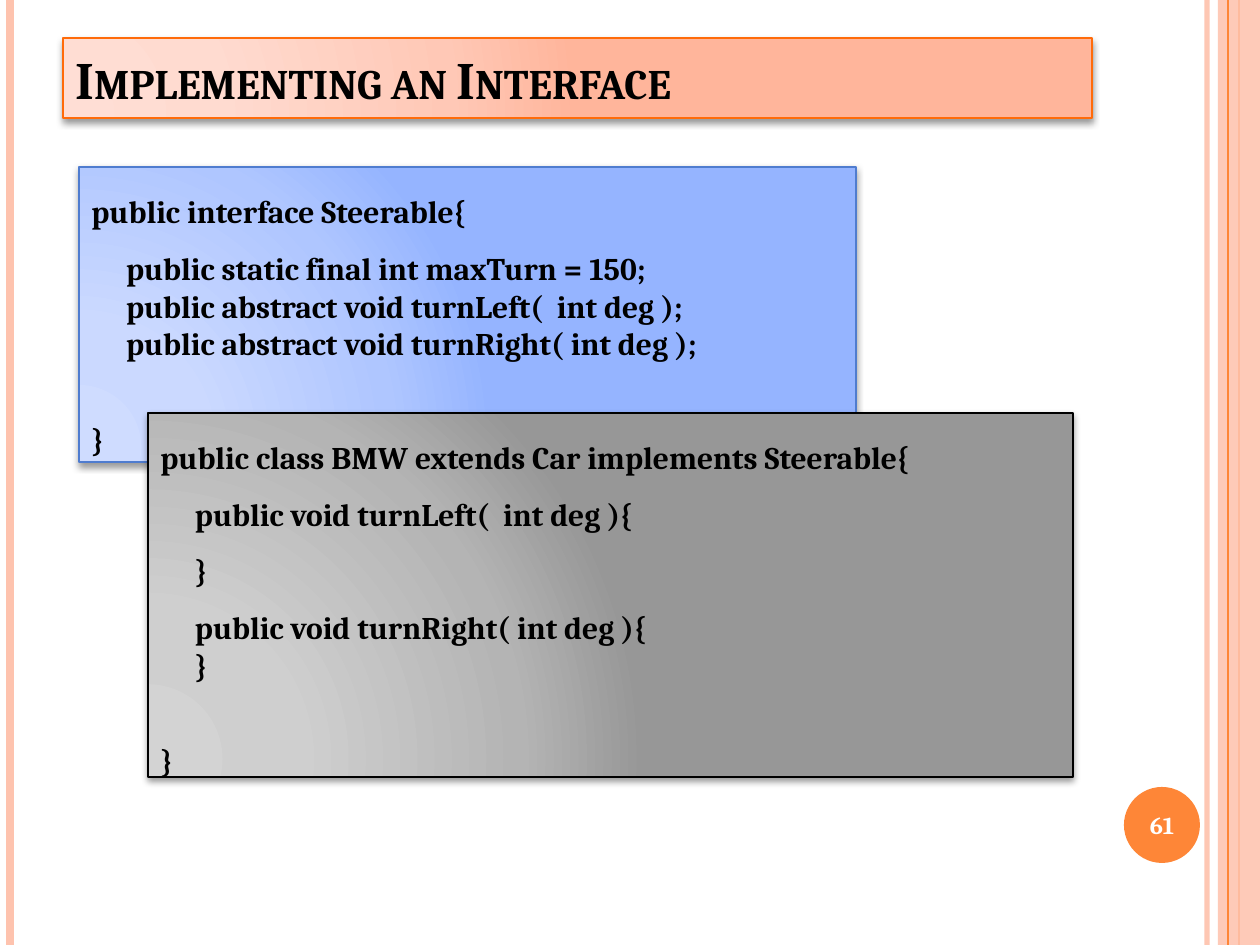
from dataclasses import dataclass

from pptx import Presentation, util as u
from pptx.dml.color import RGBColor
from pptx.enum import shapes, text
from pptx.oxml import parse_xml
from pptx.oxml.ns import nsdecls, qn

SCALE = 914400 / 126
WIDTH, HEIGHT = 1260, 945


@dataclass(frozen=True)
class Theme:
    """Colours, gradients and type sizes of the slide."""
    font: str = "Cambria"
    ink: str = "000000"
    paper: str = "FFFFFF"
    accent: str = "FE8637"
    pale: str = "FEC3AE"
    peach: tuple = ("FFDED5", "FFDBD0", "FFC8B6", "FFB59B")
    peach_edge: str = "FF6B0A"
    blue: tuple = ("CFDCFF", "CBD9FF", "AFC6FF", "95B4FF")
    blue_edge: str = "4F7CCF"
    grey: tuple = ("D3D3D3", "CFCFCF", "B4B4B4", "979797")
    stops: tuple = (0, 30, 75, 100)
    title: int = 30
    code: int = 18
    number: int = 14


T = Theme()

INTERFACE_CODE = [
    ("public interface Steerable{", 1.5),
    ("     public static final int maxTurn = 150;", 1.5),
    ("     public abstract void turnLeft(  int deg );", 1),
    ("     public abstract void turnRight( int deg );", 1),
    ("}", 1.5),
]
CLASS_CODE = [
    ("public class BMW extends Car implements Steerable{", 1.5),
    ("     public void turnLeft(  int deg ){", 1.5),
    ("     }", 1.5),
    ("     public void turnRight( int deg ){", 1.5),
    ("     }", 1),
    ("}", 1.5),
]


def px(*lengths):
    """Turn px lengths into EMU."""
    return [u.Emu(round(n * SCALE)) for n in lengths]


def set_alpha(fill, percent):
    """Make a solid colour partly transparent."""
    color = fill._xPr.find(qn("a:solidFill"))[0]
    color.append(parse_xml(f'<a:alpha {nsdecls("a")} val="{percent * 1000}"/>'))


def style_run(p, size, color):
    """Format the only run of a paragraph and return its font."""
    font = p.runs[0].font
    font.name, font.size, font.bold = T.font, u.Pt(size), True
    font.color.rgb = RGBColor.from_string(color)
    return font


def add_solid(s, kind, box, color):
    """Add a plain shape without outline."""
    sp = s.shapes.add_shape(kind, *px(*box))
    sp.shadow.inherit = False
    sp.fill.solid()
    sp.fill.fore_color.rgb = RGBColor.from_string(color)
    sp.line.fill.background()
    return sp


def add_panel(s, box, colors, edge):
    """Add a rectangle with a radial gradient and a soft shadow below."""
    sp = s.shapes.add_shape(shapes.MSO_SHAPE.RECTANGLE, *px(*box))
    sp.fill.background()
    stops = "".join(
        f'<a:gs pos="{pos * 1000}"><a:srgbClr val="{color}"/></a:gs>'
        for pos, color in zip(T.stops, colors))
    no_fill = sp._element.spPr.find(qn("a:noFill"))
    no_fill.getparent().replace(no_fill, parse_xml(
        f'<a:gradFill {nsdecls("a")} rotWithShape="1"><a:gsLst>{stops}</a:gsLst>'
        '<a:path path="circle"><a:fillToRect l="5000" t="100000" r="120000" b="10000"/>'
        '</a:path></a:gradFill>'))
    sp.line.color.rgb = RGBColor.from_string(edge)
    sp.line.width = u.Pt(1)
    sp.shadow.inherit = False
    sp._element.spPr.find(qn("a:effectLst")).append(parse_xml(
        f'<a:outerShdw {nsdecls("a")} blurRad="50800" dist="25400" dir="5400000" '
        'rotWithShape="0"><a:srgbClr val="000000"><a:alpha val="40000"/></a:srgbClr>'
        '</a:outerShdw>'))
    sp.text_frame.word_wrap = True
    return sp


def add_rule(s, x, top, bottom, color, width, alpha=None):
    """Add a vertical rule."""
    c = s.shapes.add_connector(shapes.MSO_CONNECTOR.STRAIGHT, *px(x, top, x, bottom))
    c.line.color.rgb = RGBColor.from_string(color)
    c.line.width = u.Pt(width)
    if alpha:
        set_alpha(c.line.fill, alpha)
    c._element.spPr.append(parse_xml(f'<a:effectLst {nsdecls("a")}/>'))


def add_frame(s, box):
    """Draw the rules and the band along the slide's sides."""
    left, top, width, height = box
    right, bottom = left + width, top + height
    add_rule(s, right - 53, top, bottom, T.pale, 3, 93)
    add_rule(s, left + 10, top, bottom, T.pale, 4.5)
    add_rule(s, right - 21, top, bottom, T.accent, 1.5)
    band = add_solid(s, shapes.MSO_SHAPE.RECTANGLE, (right - 42, top, 42, height), T.pale)
    set_alpha(band.fill, 87)
    add_rule(s, right - 32, top, bottom, T.accent, 0.75)


def add_title(s, box, title):
    """Add the title panel in small capitals."""
    tf = add_panel(s, box, T.peach, T.peach_edge).text_frame
    tf.vertical_anchor = text.MSO_ANCHOR.MIDDLE
    p = tf.paragraphs[0]
    p.text = title
    p.alignment = text.PP_ALIGN.LEFT
    style_run(p, T.title, T.ink)._element.set("cap", "small")


def add_code(s, box, lines, colors, edge):
    """Add a code panel with a gap before its closing brace."""
    tf = add_panel(s, box, colors, edge).text_frame
    tf.vertical_anchor = text.MSO_ANCHOR.TOP
    for i, (line, spacing) in enumerate(lines):
        p = tf.add_paragraph() if i else tf.paragraphs[0]
        p.text = line
        p.alignment = text.PP_ALIGN.LEFT
        p.line_spacing = float(spacing)
        style_run(p, T.code, T.ink)
    p.space_before = u.Pt(22)


def add_page_number(s, box, number):
    """Add the page number on its round badge."""
    left, top, width, height = box
    add_solid(s, shapes.MSO_SHAPE.OVAL, box, T.accent)
    tf = s.shapes.add_textbox(*px(left - 4, top + 2, width + 8, height - 4)).text_frame
    tf.word_wrap = True
    tf.vertical_anchor = text.MSO_ANCHOR.MIDDLE
    p = tf.paragraphs[0]
    p.text = number
    p.alignment = text.PP_ALIGN.CENTER
    style_run(p, T.number, T.paper)


def main():
    """Build and save the slide."""
    prs = Presentation()
    prs.slide_width, prs.slide_height = px(WIDTH, HEIGHT)
    s = prs.slides.add_slide(prs.slide_layouts[6])
    add_frame(s, (0, 0, WIDTH, HEIGHT))
    add_title(s, (63, 38, 1029, 80), "Implementing an Interface")
    add_page_number(s, (1124, 787, 76, 76), "61")
    add_code(s, (79, 167, 777, 295), INTERFACE_CODE, T.blue, T.blue_edge)
    add_code(s, (148, 413, 925, 364), CLASS_CODE, T.grey, T.ink)
    prs.save("out.pptx")


if __name__ == "__main__":
    main()
